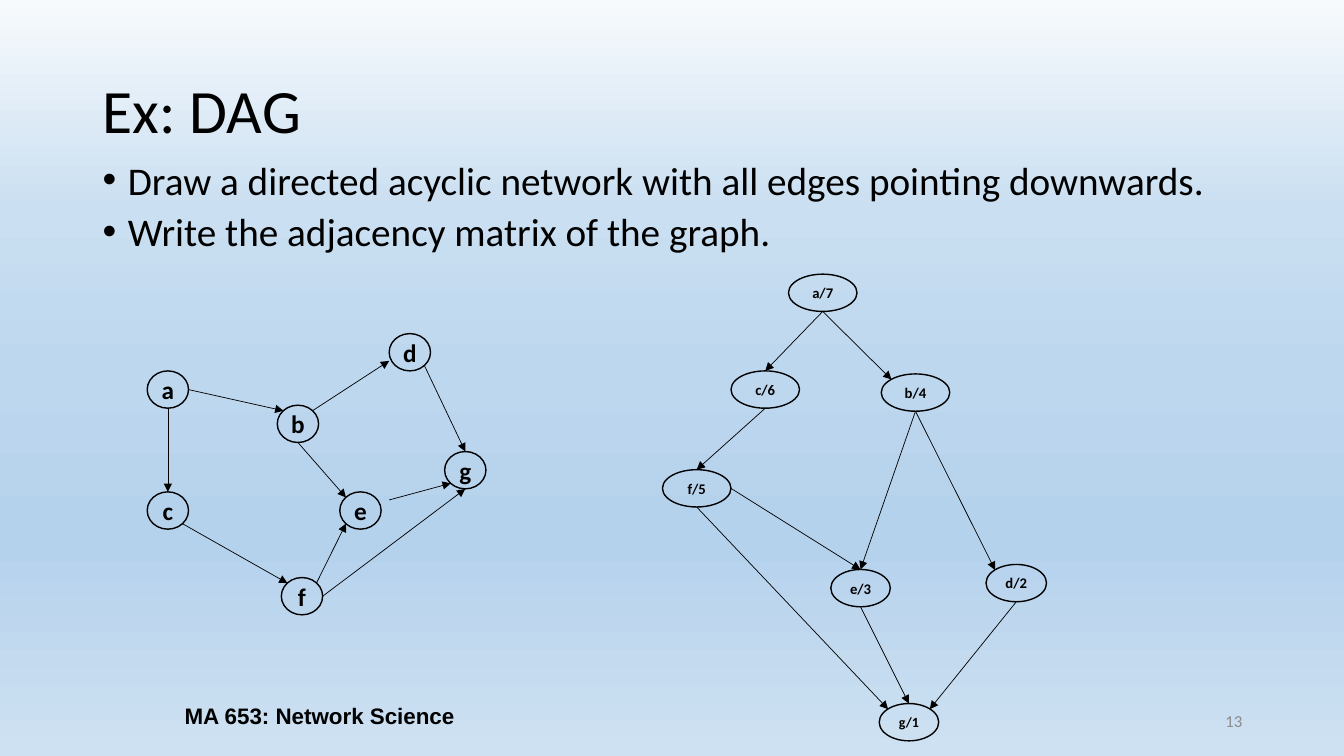
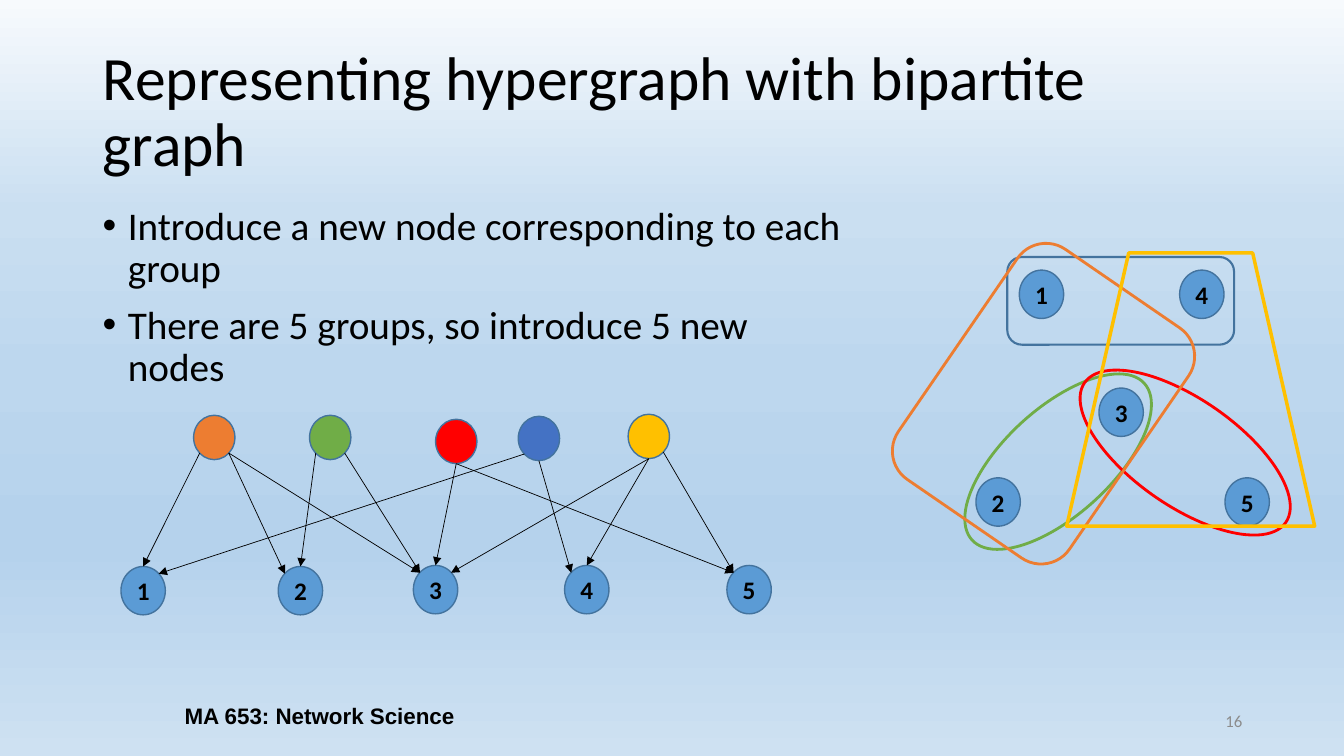
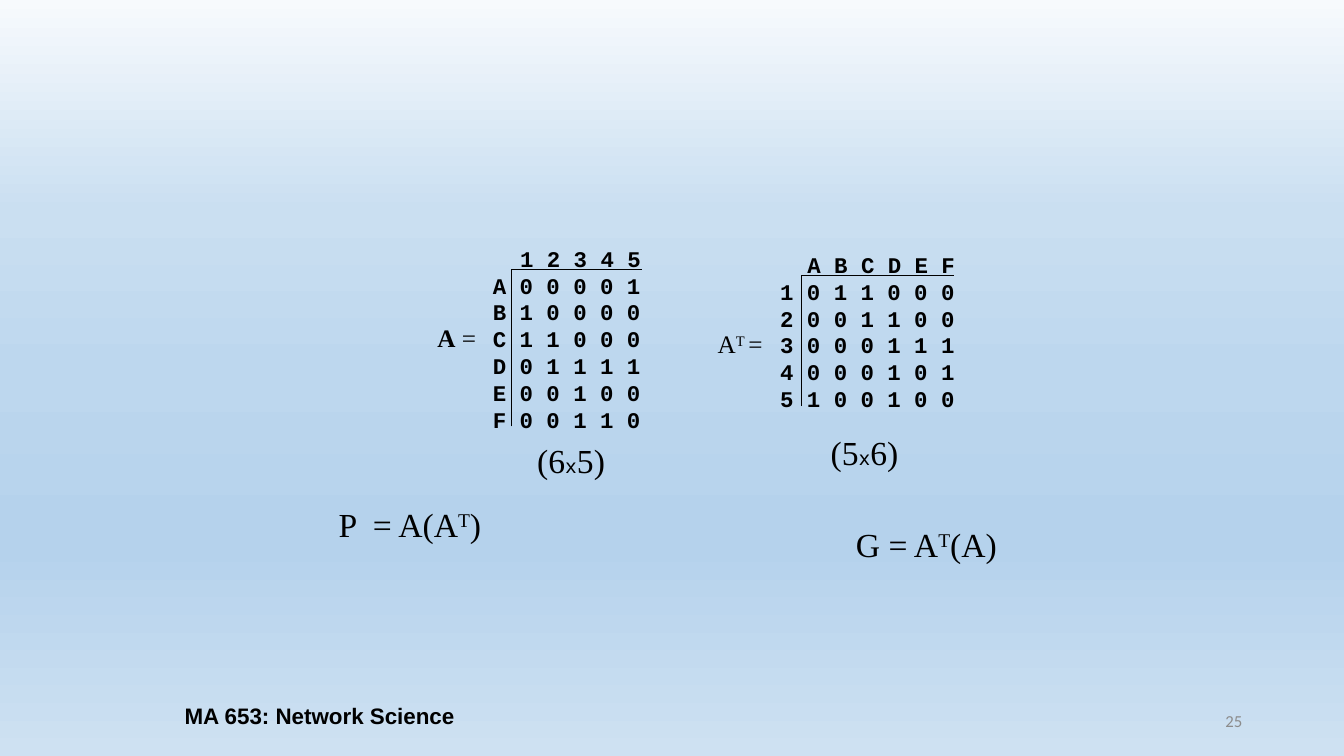
import pptx
import pptx.util
from lxml import etree
from pptx.dml.color import RGBColor
from pptx.enum.shapes import MSO_CONNECTOR, MSO_SHAPE
from pptx.enum.text import MSO_ANCHOR, MSO_AUTO_SIZE, PP_ALIGN
from pptx.oxml.ns import qn
from pptx.util import Inches


class Theme:
    background = [(0, "F7FAFD"), (28, "CADFF1"), (49, "BDD7EE"),
                  (71, "B5D2EC"), (72, "B5D2EC"), (100, "CEE1F2")]
    black, grey = "000000", "8C8C8C"
    node_blue, node_edge = "5B9BD5", "43739E"
    orange, green, red = "ED7D31", "70AD47", "FF0000"
    yellow, blue = "FFC000", "4472C4"
    title = {"name": "Calibri", "size": 44, "bold": False}
    body = {"name": "Calibri", "size": 28}
    number = {"name": "Calibri", "size": 12, "color": grey}
    footer = {"name": "Arial", "size": 16, "bold": True}
    node = {"name": "Calibri", "size": 18, "bold": True}
    small_node = {"name": "Calibri", "size": 10.5, "bold": True}
    matrix = {"name": "Courier New", "size": 16, "bold": True}
    label = {"name": "Times New Roman", "size": 18}
    formula = {"name": "Times New Roman", "size": 24}
    times_sign = {"name": "Noto Sans Mono", "size": 14}


# Attachment points of an ellipse, as shares of its size from its centre
SITES = {"n": (0, -0.5), "s": (0, 0.5), "w": (-0.5, 0), "e": (0.5, 0),
         "nw": (-0.35, -0.35), "ne": (0.35, -0.35),
         "sw": (-0.35, 0.35), "se": (0.35, 0.35)}


class Deck:
    TITLE_ONLY, BLANK = 5, 6

    def __init__(self):
        self.prs = pptx.Presentation()
        self.prs.slide_width = Inches(13.33)
        self.prs.slide_height = Inches(7.5)
        self.s = None
        self.set_background()

    def set_background(self):
        fill = self.prs.slide_master.background.fill
        fill.gradient()
        fill.gradient_angle = 270
        stops = self.prs.slide_master.element.find(".//" + qn("a:gsLst"))
        for old in list(stops):
            stops.remove(old)
        for percent, color in Theme.background:
            stop = etree.SubElement(stops, qn("a:gs"), pos=str(percent * 1000))
            etree.SubElement(stop, qn("a:srgbClr"), val=color)

    def slide(self, number, title=None):
        layout = self.TITLE_ONLY if title else self.BLANK
        self.s = self.prs.slides.add_slide(self.prs.slide_layouts[layout])
        if title:
            sp = self.s.shapes.title
            sp.left, sp.top, sp.width, sp.height = map(Inches, (0.92, 0.4, 11.5, 1.45))
            tf = sp.text_frame
            tf.auto_size = MSO_AUTO_SIZE.NONE
            tf.vertical_anchor = MSO_ANCHOR.MIDDLE
            p = self.paragraph(tf, 0, [(title, Theme.title)], PP_ALIGN.LEFT)
            p.line_spacing = 0.9
        for at, text, style, align in (
                ((9.42, 6.95, 3, 0.4), number, Theme.number, PP_ALIGN.RIGHT),
                ((0.92, 6.9, 4.5, 0.4), "MA 653: Network Science", Theme.footer,
                 PP_ALIGN.CENTER)):
            tf = self.box(at)
            tf.vertical_anchor = MSO_ANCHOR.MIDDLE
            self.paragraph(tf, 0, [(text, style)], align)

    def box(self, at, wrap=True):
        tf = self.s.shapes.add_textbox(*map(Inches, at)).text_frame
        tf.word_wrap = wrap
        tf.auto_size = MSO_AUTO_SIZE.NONE if wrap else MSO_AUTO_SIZE.SHAPE_TO_FIT_TEXT
        return tf

    def paragraph(self, tf, index, runs, align=PP_ALIGN.LEFT):
        """Fill the first paragraph or add one; runs are (text, style) pairs."""
        p = tf.paragraphs[0] if index == 0 else tf.add_paragraph()
        p.alignment = align
        for text, style in runs:
            r = p.add_run()
            r.text = text
            for key, value in style.items():
                if key == "size":
                    r.font.size = pptx.util.Pt(value)
                elif key == "baseline":
                    r.font._element.set("baseline", str(value))
                elif key != "color":
                    setattr(r.font, key, value)
            r.font.color.rgb = RGBColor.from_string(style.get("color", Theme.black))
        return p

    def bullets(self, at, items, line_spacing):
        tf = self.box(at)
        for i, item in enumerate(items):
            p = self.paragraph(tf, i, [(item, Theme.body)])
            p.line_spacing = line_spacing
            p.space_before = pptx.util.Pt(10)
            pPr = p._p.get_or_add_pPr()
            pPr.set("marL", str(Inches(0.25)))
            pPr.set("indent", str(-Inches(0.25)))
            etree.SubElement(pPr, qn("a:buFont"), typeface="Arial")
            etree.SubElement(pPr, qn("a:buChar"), char="•")

    def formula(self, at, *runs):
        self.paragraph(self.box(at, wrap=False), 0, runs)

    def outline(self, sp, line, width, fill=None):
        sp.shadow.inherit = False
        if fill:
            sp.fill.solid()
            sp.fill.fore_color.rgb = RGBColor.from_string(fill)
        else:
            sp.fill.background()
        sp.line.color.rgb = RGBColor.from_string(line)
        sp.line.width = pptx.util.Pt(width)

    def shape(self, kind, at, line, width, fill=None, rotation=0):
        sp = self.s.shapes.add_shape(kind, *map(Inches, at))
        self.outline(sp, line, width, fill)
        sp.rotation = rotation
        return sp

    def node(self, at, text="", style=Theme.node, fill=None):
        kind = MSO_SHAPE.OVAL if fill else MSO_SHAPE.FLOWCHART_CONNECTOR
        sp = self.shape(kind, at, Theme.node_edge if fill else Theme.black, 1, fill)
        if text:
            tf = sp.text_frame
            tf.word_wrap = False
            tf.vertical_anchor = MSO_ANCHOR.MIDDLE
            for side in ("left", "right", "top", "bottom"):
                setattr(tf, "margin_" + side, 0)
            self.paragraph(tf, 0, [(text, style)], PP_ALIGN.CENTER)
        return sp

    def line(self, start, end, width=0.75, arrow=False):
        c = self.s.shapes.add_connector(MSO_CONNECTOR.STRAIGHT, *start, *end)
        c.line.color.rgb = RGBColor.from_string(Theme.black)
        c.line.width = pptx.util.Pt(width)
        if arrow:
            etree.SubElement(c.line._get_or_add_ln(), qn("a:tailEnd"), type="triangle")
        etree.SubElement(c._element.spPr, qn("a:effectLst"))

    def polyline(self, first, *others):
        builder = self.s.shapes.build_freeform(*first)
        builder.add_line_segments(others, close=False)
        self.outline(builder.convert_to_shape(), Theme.black, 0.75)

    def edges(self, nodes, edges):
        """Draw edges given as (node, site, node, site); a site may be a point."""
        def point(name, site):
            if isinstance(site, tuple):
                return tuple(map(Inches, site))
            sp, (dx, dy) = nodes[name], SITES[site]
            return (int(sp.left + sp.width * (0.5 + dx)),
                    int(sp.top + sp.height * (0.5 + dy)))
        for source, leave, target, enter in edges:
            self.line(point(source, leave), point(target, enter), 0.5, arrow=True)

    def matrix(self, left, top, columns, rows, values):
        at = (left, top, 0.34 + 0.27 * len(columns), 0.1 + 0.27 * (len(rows) + 1))
        tf = self.box(at, wrap=False)
        p = self.paragraph(tf, 0, [(" ".join(columns), Theme.matrix)])
        p._p.get_or_add_pPr().set("marL", str(Inches(0.27)))
        for i, (name, row) in enumerate(zip(rows, values), 1):
            self.paragraph(tf, i, [(" ".join((name, *row)), Theme.matrix)])


def dag_slide(deck):
    deck.slide("13", "Ex: DAG")
    deck.bullets((0.92, 1.59, 11.5, 1.06), [
        "Draw a directed acyclic network with all edges pointing downwards.",
        "Write the adjacency matrix of the graph."], 0.8)

    places = {"a": (1.46, 3.68), "b": (2.75, 4.02), "c": (1.46, 4.88), "d": (3.86, 3.31),
              "e": (3.37, 4.88), "f": (2.79, 5.73), "g": (4.41, 4.48)}
    nodes = {name: deck.node((*xy, 0.41, 0.37), name) for name, xy in places.items()}
    deck.edges(nodes, [
        ("a", "e", "b", "nw"), ("b", "ne", "d", (3.86, 3.58)), ("a", "s", "c", "n"),
        ("b", "s", "e", "nw"), ("c", "se", "f", "nw"), ("f", "ne", "e", "sw"),
        ("d", "se", "g", "n"), ("e", (3.86, 4.96), "g", "sw"), ("f", "e", "g", "s")])

    ordered = {"a/7": (7.82, 2.72, 0.68), "b/4": (8.74, 3.71, 0.68),
               "c/6": (7.25, 3.68, 0.68), "d/2": (9.78, 5.6, 0.6),
               "e/3": (8.24, 5.65, 0.59), "f/5": (6.57, 4.66, 0.68),
               "g/1": (8.72, 6.98, 0.59)}
    nodes = {}
    for text, place in ordered.items():
        style = dict(Theme.small_node, size=10) if text == "g/1" else Theme.small_node
        nodes[text[0]] = deck.node((*place, 0.37), text, style)
    deck.edges(nodes, [
        ("a", "s", "b", "nw"), ("b", "s", "d", "nw"), ("a", "s", "c", "n"),
        ("b", "s", "e", "n"), ("c", "s", "f", "n"), ("f", "e", "e", "n"),
        ("d", "s", "g", "ne"), ("e", "s", "g", "n"), ("f", "s", "g", "nw")])


def hypergraph_slide(deck):
    deck.slide("16", "Representing hypergraph with bipartite graph")
    deck.bullets((0.92, 2, 7.53, 4.76), [
        "Introduce a new node corresponding to each group",
        "There are 5 groups, so introduce 5 new nodes"], 0.9)

    def members(places):
        return {name: deck.node((*xy, 0.44, 0.48), name, fill=Theme.node_blue)
                for name, xy in places.items()}

    members({"1": (10.11, 2.68), "4": (11.7, 2.68), "3": (10.9, 3.85),
             "2": (9.68, 4.74), "5": (12.15, 4.74)})
    for kind, at, color, width, rotation in (
            (MSO_SHAPE.ROUNDED_RECTANGLE, (9.99, 2.55, 2.25, 0.87), Theme.node_edge, 1.5, 0),
            (MSO_SHAPE.OVAL, (9.34, 4.05, 2.31, 1.06), Theme.green, 2, 317.7),
            (MSO_SHAPE.OVAL, (10.54, 3.96, 2.43, 1.06), Theme.red, 2, 34.8),
            (MSO_SHAPE.FLOWCHART_ALTERNATE_PROCESS, (9.32, 2.62, 2.06, 2.77),
             Theme.orange, 2, 34.5),
            (MSO_SHAPE.TRAPEZOID, (10.58, 2.51, 2.46, 2.71), Theme.yellow, 2.5, 0)):
        deck.shape(kind, at, color, width, rotation=rotation)

    groups = {"orange": (1.92, 4.12), "green": (3.07, 4.12), "red": (4.32, 4.16),
              "blue": (5.14, 4.13), "yellow": (6.23, 4.11)}
    nodes = {name: deck.node((*xy, 0.41, 0.44), fill=getattr(Theme, name))
             for name, xy in groups.items()}
    nodes.update(members({"1": (1.2, 5.62), "2": (2.76, 5.62), "3": (4.1, 5.61),
                          "4": (5.6, 5.61), "5": (7.21, 5.61)}))
    deck.edges(nodes, [
        ("orange", "sw", "1", "n"), ("orange", "se", "2", "nw"), ("orange", "se", "3", "nw"),
        ("green", "sw", "2", "n"), ("green", "se", "3", "nw"),
        ("red", "s", "3", "n"), ("red", "s", "5", "nw"),
        ("yellow", "s", "3", "ne"), ("yellow", "s", "4", "n"), ("yellow", "se", "5", "nw"),
        ("blue", "sw", "1", "ne"), ("blue", "s", "4", "nw")])


def matrix_slide(deck):
    deck.slide("25")
    incidence = ["00001", "10000", "11000", "01111", "00100", "00110"]
    deck.matrix(4.79, 2.38, "12345", "ABCDEF", incidence)
    corner = (Inches(5.07), Inches(2.67))
    deck.line(corner, (Inches(6.37), corner[1]))
    deck.line((corner[0], Inches(4.23)), corner)

    deck.matrix(7.64, 2.44, "ABCDEF", "12345", zip(*incidence))
    corner = (Inches(7.95), Inches(2.73))
    deck.polyline((corner[0], Inches(4.03)), corner, (Inches(9.46), corner[1]))

    label, big = Theme.label, Theme.formula
    raised = {"baseline": 30000}
    deck.formula((4.24, 3.15, 0.65, 0.4), ("A", {**label, "bold": True}), (" =", label))
    deck.formula((7.02, 3.21, 0.71, 0.4), ("A", label), ("T ", {**label, **raised}),
                 ("=", label))
    for x, y, rows, columns in ((5.23, 4.32, "6", "5"), (8.14, 4.24, "5", "6")):
        deck.formula((x, y, 0.87, 0.5), ("(" + rows, big), ("x", Theme.times_sign),
                     (columns + ")", big))
    for at, before, after in (((3.26, 4.95, 1.66, 0.5), "P  = A(A", ")"),
                              ((8.39, 5.15, 1.64, 0.5), "G = A", "(A)")):
        deck.formula(at, (before, big), ("T", {**big, **raised}), (after, big))


def main():
    deck = Deck()
    dag_slide(deck)
    hypergraph_slide(deck)
    matrix_slide(deck)
    deck.prs.save("out.pptx")


if __name__ == "__main__":
    main()
